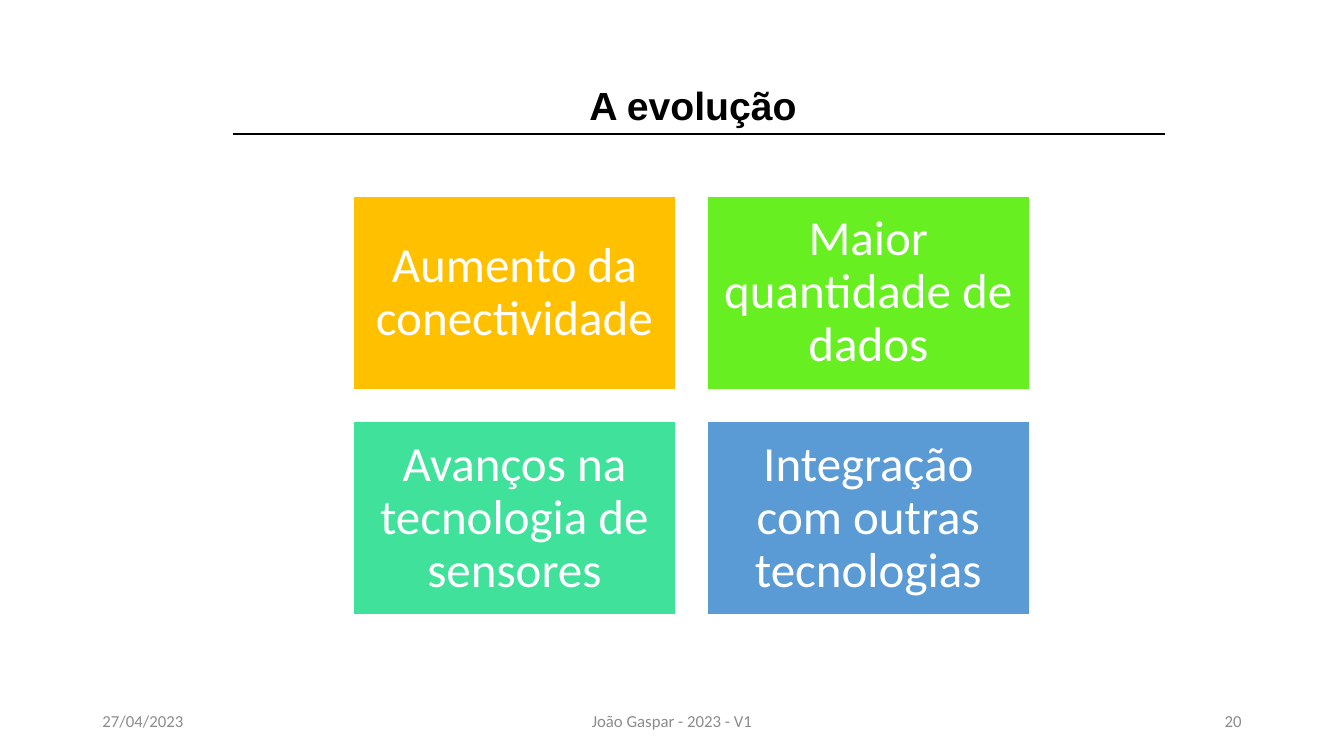
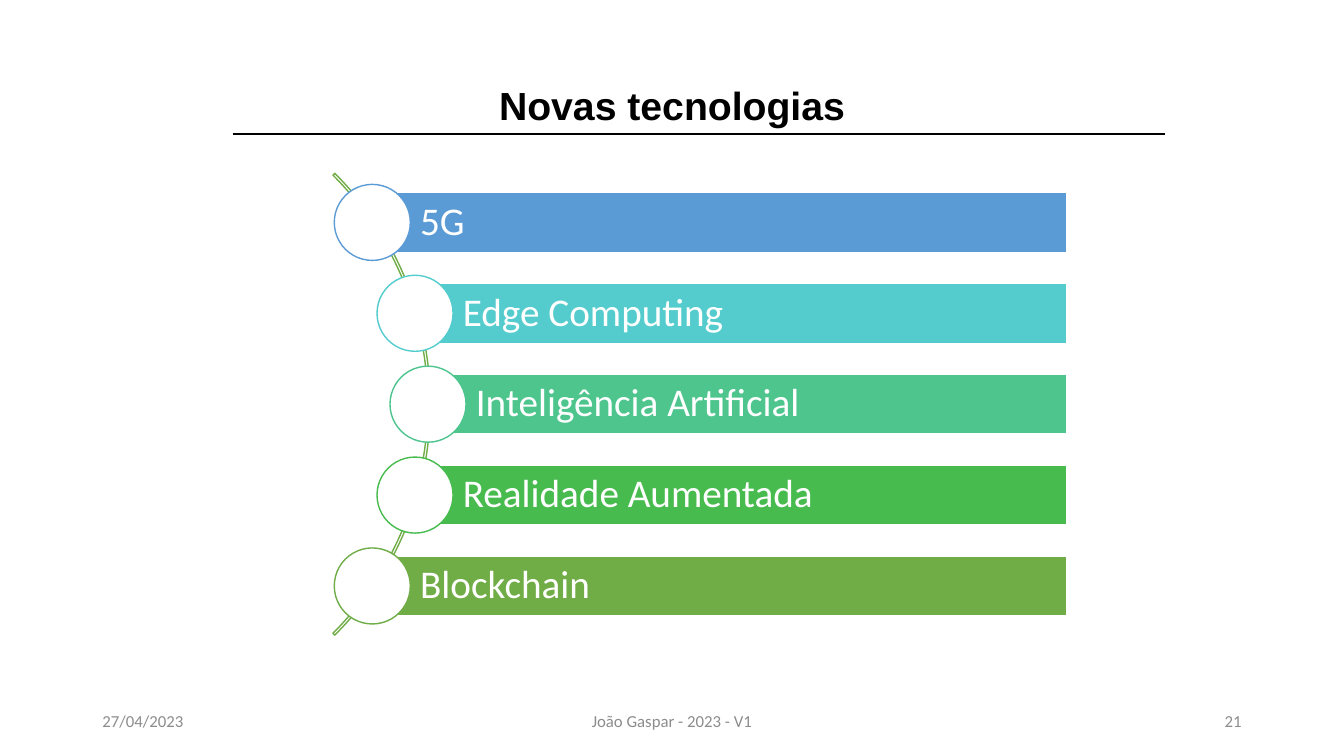
from dataclasses import dataclass
from math import sqrt

from lxml import etree
from pptx import Presentation
from pptx.dml.color import RGBColor
from pptx.enum import shapes, text
from pptx.oxml import ns
from pptx import util as u

WIDE, HIGH = u.Inches(13.333), u.Inches(7.5)
COLS = 160
CELL = WIDE / COLS

BLACK = RGBColor(0x00, 0x00, 0x00)
WHITE = RGBColor(0xFF, 0xFF, 0xFF)
GREY = RGBColor(0x8C, 0x8C, 0x8C)
AMBER = RGBColor(0xFF, 0xC0, 0x00)
LIME = RGBColor(0x67, 0xEF, 0x21)
MINT = RGBColor(0x3F, 0xE1, 0x9B)
BLUE = RGBColor(0x5B, 0x9B, 0xD5)
AQUA = RGBColor(0x54, 0xCC, 0xCD)
JADE = RGBColor(0x4D, 0xC5, 0x8D)
GREEN = RGBColor(0x48, 0xBB, 0x4F)
OLIVE = RGBColor(0x70, 0xAD, 0x47)

LEFT, MID, RIGHT = text.PP_ALIGN.LEFT, text.PP_ALIGN.CENTER, text.PP_ALIGN.RIGHT
TOP, CENTRE = text.MSO_ANCHOR.TOP, text.MSO_ANCHOR.MIDDLE
RECT, DISC, ARC = (shapes.MSO_SHAPE.RECTANGLE, shapes.MSO_SHAPE.OVAL,
                   shapes.MSO_SHAPE.BLOCK_ARC)


@dataclass(frozen=True)
class Box:
    x: float
    y: float
    w: float
    h: float

    def place(self) -> tuple[int, ...]:
        return tuple(cells(n) for n in (self.x, self.y, self.w, self.h))


@dataclass(frozen=True)
class Style:
    font: dict
    colour: RGBColor
    align: text.PP_ALIGN
    anchor: text.MSO_ANCHOR = CENTRE
    space: float = 1.0
    pads: tuple[float, ...] = (1.2, 0.6, 1.2, 0.6)


@dataclass(frozen=True)
class Item:
    label: str
    fill: RGBColor


SMALL = {"name": "Calibri", "size": u.Pt(12)}
TITLE = Style({"name": "Arial", "size": u.Pt(28), "bold": True}, BLACK, MID, TOP)
TILE = Style({"name": "Calibri", "size": u.Pt(35)}, WHITE, MID, space=0.9,
             pads=(1.8, 1.8, 1.8, 1.8))
BAR = Style({"name": "Calibri", "size": u.Pt(28)}, WHITE, LEFT, space=0.9,
            pads=(5.7, 0.9, 0.9, 0.9))

TILES = (
    Item("Aumento da conectividade", AMBER),
    Item("Maior quantidade de dados", LIME),
    Item("Avanços na tecnologia de sensores", MINT),
    Item("Integração com outras tecnologias", BLUE),
)
BARS = (
    Item("5G", BLUE),
    Item("Edge Computing", AQUA),
    Item("Inteligência Artificial", JADE),
    Item("Realidade Aumentada", GREEN),
    Item("Blockchain", OLIVE),
)


def cells(count: float) -> int:
    return round(count * CELL)


def write(shape, words: str, style: Style) -> None:
    frame = shape.text_frame
    sides = ("margin_left", "margin_top", "margin_right", "margin_bottom")
    form = dict(zip(sides, map(cells, style.pads)))
    form |= {"word_wrap": True, "vertical_anchor": style.anchor}
    para = frame.paragraphs[0]
    run = para.add_run()
    run.text = words
    for part, values in (
        (frame, form),
        (para, {"alignment": style.align, "line_spacing": style.space}),
        (run.font, style.font),
    ):
        for key, value in values.items():
            setattr(part, key, value)
    run.font.color.rgb = style.colour


def label(slide, box: Box, words: str, style: Style) -> None:
    write(slide.shapes.add_textbox(*box.place()), words, style)


def draw(slide, kind, box: Box, fill: RGBColor | None, edge: RGBColor):
    shape = slide.shapes.add_shape(kind, *box.place())
    shape.shadow.inherit = False
    if fill is None:
        shape.fill.background()
    else:
        shape.fill.solid()
        shape.fill.fore_color.rgb = fill
    shape.line.color.rgb = edge
    shape.line.width = u.Pt(1)
    return shape


def start(deck, title: str, left: float, page: int):
    slide = deck.slides.add_slide(deck.slide_layouts[6])
    rule = slide.shapes.add_connector(
        shapes.MSO_CONNECTOR.STRAIGHT, cells(27.7), cells(16), cells(138.7), cells(16))
    rule.line.color.rgb = BLACK
    rule.line.width = u.Pt(1.5)
    etree.SubElement(rule._element.spPr, ns.qn("a:effectLst"))
    label(slide, Box(left, 9.1, 80.8, 6.8), title, TITLE)
    for x, wide, words, align in (
        (11, 36, "27/04/2023", LEFT),
        (53, 54, "João Gaspar - 2023 - V1", MID),
        (113, 36, str(page), RIGHT),
    ):
        label(slide, Box(x, 83.4, wide, 4.8), words, Style(SMALL, GREY, align))
    return slide


def tiles(slide) -> None:
    wide = 38.3
    high, gap = wide * 0.6, wide * 0.1
    for spot, item in enumerate(TILES):
        row, col = divmod(spot, 2)
        box = Box(42.1 + col * (wide + gap), 23.4 + row * (high + gap), wide, high)
        write(draw(slide, RECT, box, item.fill, WHITE), item.label, TILE)


def bars(slide) -> None:
    hub_x, hub_y, reach = 12.36, 48.12, 38.88
    curve = draw(slide, ARC, Box(hub_x - reach, hub_y - reach, 2 * reach, 2 * reach),
                 None, OLIVE)
    for spot, value in enumerate((189, 27, 0.004)):
        curve.adjustments[spot] = value
    end, high, disc, pitch, track = 126.95, 7.15, 9.05, 10.82, 38.6
    for spot, item in enumerate(BARS):
        drop = (spot - (len(BARS) - 1) / 2) * pitch
        x, y = hub_x + sqrt(track ** 2 - drop ** 2), hub_y + drop
        bar = draw(slide, RECT, Box(x, y - high / 2, end - x, high), item.fill, WHITE)
        write(bar, item.label, BAR)
        draw(slide, DISC, Box(x - disc / 2, y - disc / 2, disc, disc), WHITE, item.fill)


def main() -> None:
    deck = Presentation()
    deck.slide_width, deck.slide_height = WIDE, HIGH
    tiles(start(deck, "A evolução", 42.1, 20))
    bars(start(deck, "Novas tecnologias", 39.6, 21))
    deck.save("out.pptx")


if __name__ == "__main__":
    main()
